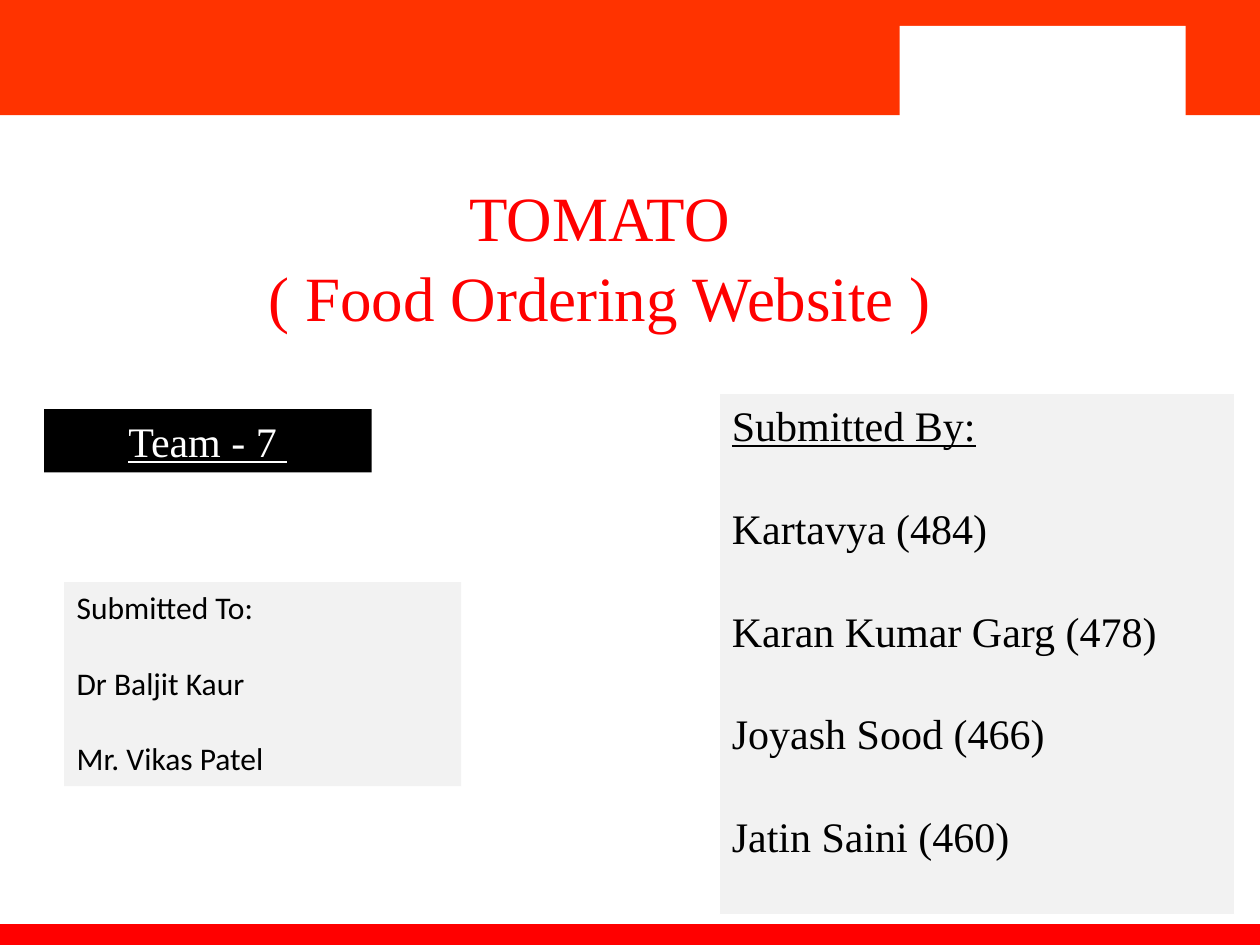
from pptx import Presentation
from pptx.dml.color import RGBColor
from pptx.enum.shapes import MSO_SHAPE as Shape
from pptx.enum.text import MSO_ANCHOR as Anchor, MSO_AUTO_SIZE as AutoSize, PP_ALIGN as Align
from pptx.util import Inches, Pt

COLORS = {
    "header": "FF3300",
    "red": "FF0000",
    "white": "FFFFFF",
    "panel": "F2F2F2",
    "black": "000000",
}
SERIF = "Times New Roman"

deck = Presentation()
deck.slide_width, deck.slide_height = Inches(10), Inches(7.5)
column, row = deck.slide_width / 100, deck.slide_height / 100
page = deck.slides.add_slide(deck.slide_layouts[5])


def add_block(left, top, width, height, fill):
    box = page.shapes.add_shape(
        Shape.RECTANGLE,
        int(left * column), int(top * row), int(width * column), int(height * row),
    )
    box.shadow.inherit = False
    box.fill.solid()
    box.fill.fore_color.rgb = RGBColor.from_string(COLORS[fill])
    box.line.fill.background()
    return box


def write_lines(box, lines, font, size, color, align, gap, anchor=Anchor.TOP, underlined=0):
    frame = box.text_frame
    frame.word_wrap = True
    frame.auto_size = AutoSize.NONE
    frame.vertical_anchor = anchor
    for index, line in enumerate(lines):
        para = frame.add_paragraph() if index else frame.paragraphs[0]
        para.alignment = align
        para.line_spacing = 1.0
        para.space_before = Pt(gap if index else 0)
        span = para.add_run()
        span.text = line
        span.font.name = font
        span.font.size = Pt(size)
        span.font.underline = index < underlined
        span.font.color.rgb = RGBColor.from_string(COLORS[color])


for left, top, width, height, fill in [
    (0, 0, 100, 12.2, "header"),
    (0, 97.8, 100, 2.2, "red"),
    (71.4, 2.75, 22.7, 10, "white"),
]:
    add_block(left, top, width, height, fill)

title = page.shapes.title
title.left, title.top = int(11.4 * column), int(18.25 * row)
title.width, title.height = int(72.4 * column), int(17.5 * row)
write_lines(title, ["TOMATO", "( Food Ordering Website )"], SERIF, 36, "red", Align.CENTER, 2.5)

teachers = add_block(5.1, 61.6, 31.5, 21.6, "panel")
write_lines(teachers, ["Submitted To:", "Dr Baljit Kaur", "Mr. Vikas Patel"],
            "Calibri", 18, "black", Align.LEFT, 21.5)

students = add_block(57.1, 41.6, 40.9, 55.2, "panel")
students.line.color.rgb = RGBColor.from_string(COLORS["white"])
students.line.width = Pt(0.75)
write_lines(students,
            ["Submitted By:", "Kartavya (484)", "Karan Kumar Garg (478)",
             "Joyash Sood (466)", "Jatin Saini (460)"],
            SERIF, 24, "black", Align.LEFT, 30, underlined=1)

team = add_block(3.5, 43.3, 26, 6.7, "black")
write_lines(team, ["Team - 7 "], SERIF, 24, "white", Align.CENTER, 0,
            Anchor.MIDDLE, underlined=1)

deck.save("out.pptx")
